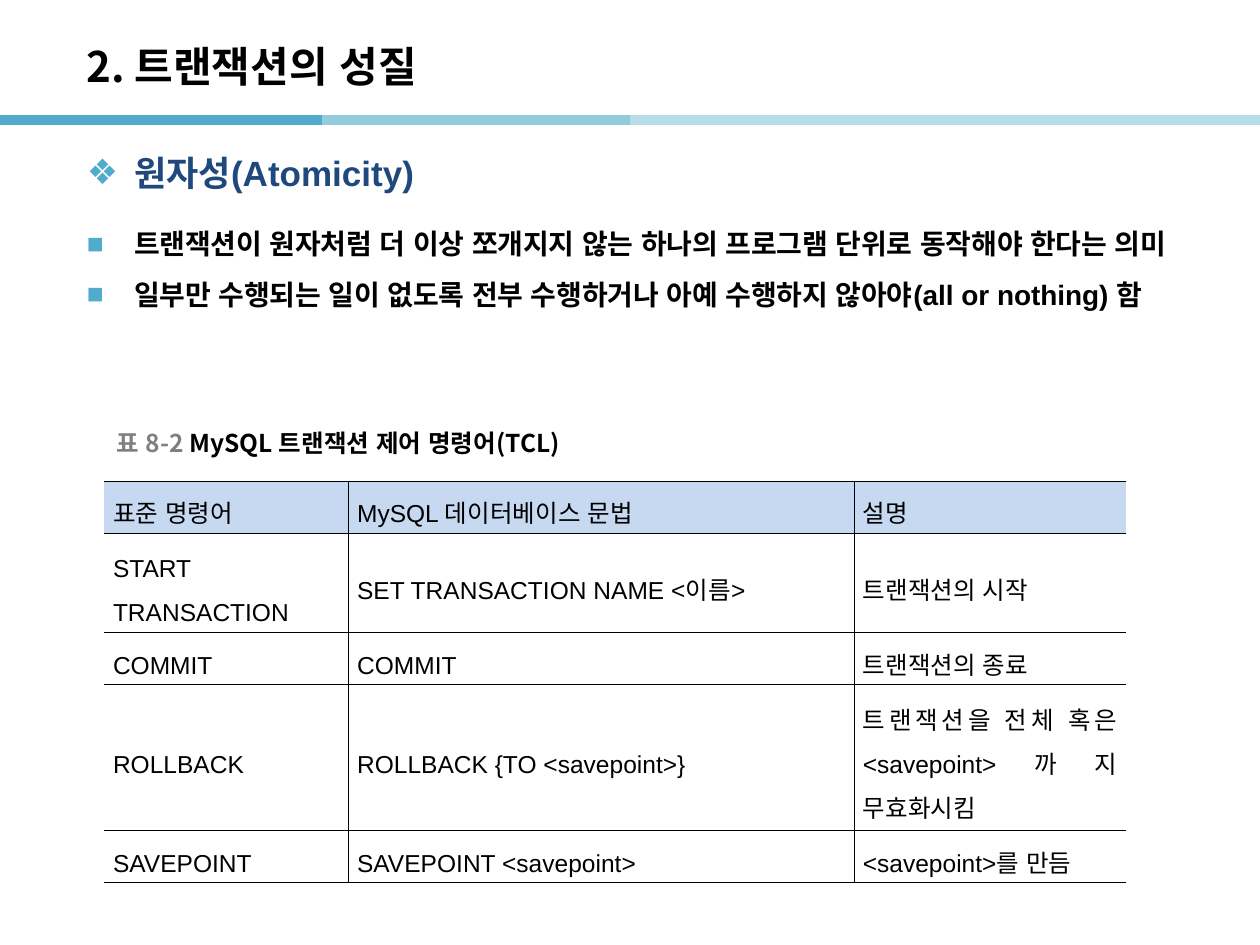
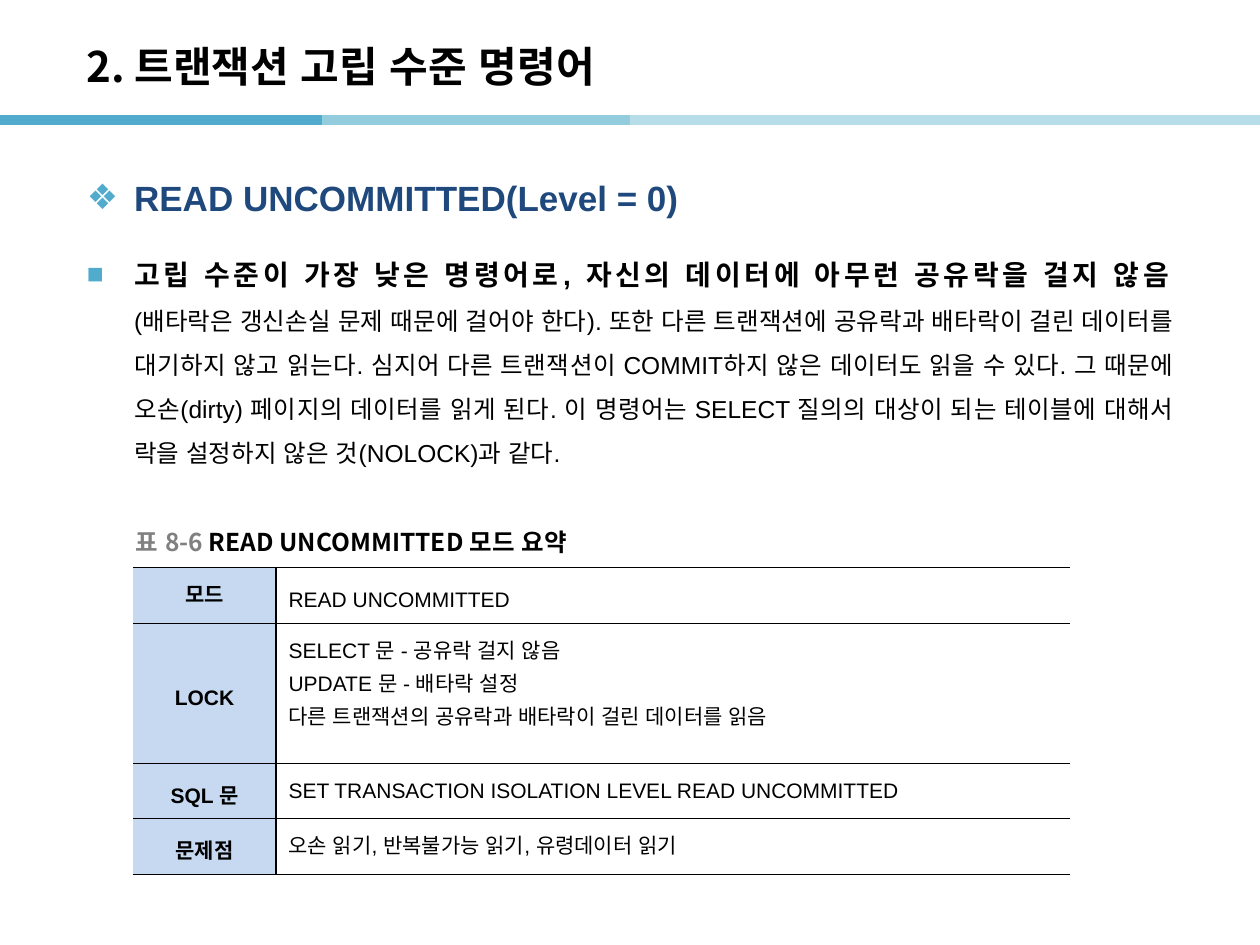
from dataclasses import dataclass

from lxml import etree
from pptx import Presentation
from pptx.dml.color import RGBColor
from pptx.enum.shapes import MSO_CONNECTOR
from pptx.enum.text import MSO_ANCHOR, PP_ALIGN
from pptx.oxml.ns import qn
from pptx.util import Pt

STRAIGHT = MSO_CONNECTOR.STRAIGHT
TOP, MIDDLE = MSO_ANCHOR.TOP, MSO_ANCHOR.MIDDLE
LEFT, CENTER, JUSTIFY = PP_ALIGN.LEFT, PP_ALIGN.CENTER, PP_ALIGN.JUSTIFY


@dataclass(frozen=True)
class Theme:
    """Colours, fonts and type sizes shared by the slides."""
    black: str = "000000"
    gray: str = "808080"
    heading: str = "1F497D"
    accent: str = "50ABCC"
    band_middle: str = "93CDDD"
    band_light: str = "B7DEE8"
    label_fill: str = "C6D9F1"
    white: str = "FFFFFF"
    body_font: str = "Arial"
    title_font: str = "Noto Sans CJK KR"
    title_size: int = 24
    heading_size: int = 20
    bullet_size: int = 16
    text_size: int = 14
    small_size: int = 12


THEME = Theme()
MARGIN = 42.5
INDENT = 27


@dataclass(frozen=True)
class TableStyle:
    """Look of one table: type size, spacing, cell margins and border width."""
    size: int
    line_spacing: float
    margin_x: float
    margin_y: float
    border: float


COMMAND_STYLE = TableStyle(THEME.text_size, 1.6, 5.1, 1.4, 0.28)
MODE_STYLE = TableStyle(THEME.small_size, 1.4, 7.2, 3.6, 1)


def set_font(font, size, color=THEME.black, bold=False, name=THEME.body_font):
    """Set the typefaces, size, weight and colour of a font."""
    font.name = name
    font.size = Pt(size)
    font.bold = bold
    font.color.rgb = RGBColor.from_string(color)
    etree.SubElement(font._rPr, qn("a:ea"), typeface=THEME.body_font)


def add_text_frame(slide, left, top, width, height, anchor=TOP):
    """Add a wrapping text box and return its text frame."""
    frame = slide.shapes.add_textbox(Pt(left), Pt(top), Pt(width), Pt(height)).text_frame
    frame.word_wrap = True
    frame.vertical_anchor = anchor
    return frame


def add_bullet(paragraph, symbol):
    """Give a paragraph a hanging indent and an accent coloured bullet."""
    properties = paragraph._p.get_or_add_pPr()
    properties.set("marL", str(Pt(INDENT)))
    properties.set("indent", str(-Pt(INDENT)))
    color = etree.SubElement(properties, qn("a:buClr"))
    etree.SubElement(color, qn("a:srgbClr"), val=THEME.accent)
    etree.SubElement(properties, qn("a:buFont"), typeface=THEME.body_font)
    etree.SubElement(properties, qn("a:buChar"), char=symbol)


def add_band(slide):
    """Draw the three-tone band below the title."""
    stops = [0, 184.3, 360, 720]
    colors = [THEME.accent, THEME.band_middle, THEME.band_light]
    for start, end, color in zip(stops, stops[1:], colors):
        line = slide.shapes.add_connector(STRAIGHT, Pt(start), Pt(68.5), Pt(end), Pt(68.5))
        line.line.color.rgb = RGBColor.from_string(color)
        line.line.width = Pt(6)
        etree.SubElement(line._element.spPr, qn("a:effectLst"))


def add_title(slide, text):
    """Add the slide title."""
    paragraph = add_text_frame(slide, MARGIN, 16, 595.5, 43, MIDDLE).paragraphs[0]
    paragraph.text = text
    set_font(paragraph.font, THEME.title_size, bold=True, name=THEME.title_font)


def add_heading(slide, text, top, line_spacing):
    """Add the section heading with its diamond bullet."""
    paragraph = add_text_frame(slide, MARGIN, top, 635, 37.5).paragraphs[0]
    paragraph.text = text
    paragraph.alignment = JUSTIFY
    paragraph.line_spacing = line_spacing
    add_bullet(paragraph, "❖")
    set_font(paragraph.font, THEME.heading_size, THEME.heading, True)


def add_bullets(slide, texts, top, width, height, alignment=LEFT):
    """Add square-bulleted bold paragraphs and return them."""
    frame = add_text_frame(slide, MARGIN, top, width, height)
    for index, text in enumerate(texts):
        paragraph = frame.add_paragraph() if index else frame.paragraphs[0]
        paragraph.text = text
        paragraph.alignment = alignment
        paragraph.line_spacing = 1.5
        add_bullet(paragraph, "■")
        set_font(paragraph.font, THEME.bullet_size, bold=True)
    return frame.paragraphs


def add_explanation(paragraph, text):
    """Continue a bullet on a new line in smaller regular type."""
    paragraph.add_line_break()
    run = paragraph.add_run()
    run.text = text
    run.font.size = Pt(THEME.text_size)
    run.font.bold = False


def add_caption(slide, number, text, left, top):
    """Add a table caption with a gray number."""
    paragraph = add_text_frame(slide, left, top, 360, 22.5, MIDDLE).paragraphs[0]
    set_font(paragraph.font, THEME.text_size, bold=True, name=THEME.title_font)
    label = paragraph.add_run()
    label.text = number + " "
    label.font.color.rgb = RGBColor.from_string(THEME.gray)
    paragraph.add_run().text = text


def set_borders(cell, width, visible):
    """Draw the visible sides of a cell and hide the others."""
    properties = cell._tc.get_or_add_tcPr()
    for side in ("lnL", "lnR", "lnT", "lnB"):
        line = etree.SubElement(properties, qn("a:" + side), w=str(Pt(width)))
        if side in visible:
            fill = etree.SubElement(line, qn("a:solidFill"))
            etree.SubElement(fill, qn("a:srgbClr"), val=THEME.black)
        else:
            etree.SubElement(line, qn("a:noFill"))


def fill_cell(cell, text, style, fill, alignment, anchor, bold):
    """Write and format one table cell."""
    cell.text = text
    cell.vertical_anchor = anchor
    cell.margin_left = cell.margin_right = Pt(style.margin_x)
    cell.margin_top = cell.margin_bottom = Pt(style.margin_y)
    cell.fill.solid()
    cell.fill.fore_color.rgb = RGBColor.from_string(fill)
    for paragraph in cell.text_frame.paragraphs:
        paragraph.alignment = alignment
        paragraph.line_spacing = style.line_spacing
        set_font(paragraph.font, style.size, bold=bold)


def add_table(slide, left, top, widths, heights, rows, style, cell_format):
    """Add a table ruled between cells and open at its left and right."""
    shape = slide.shapes.add_table(len(rows), len(widths), Pt(left), Pt(top),
                                   Pt(sum(widths)), Pt(sum(heights)))
    table = shape.table
    table.first_row = table.horz_banding = False
    for column, width in zip(table.columns, widths):
        column.width = Pt(width)
    for row, height in zip(table.rows, heights):
        row.height = Pt(height)
    for row_index, texts in enumerate(rows):
        for column_index, text in enumerate(texts):
            cell = table.cell(row_index, column_index)
            visible = {"lnT", "lnB"}
            if column_index > 0:
                visible.add("lnL")
            if column_index < len(widths) - 1:
                visible.add("lnR")
            set_borders(cell, style.border, visible)
            fill_cell(cell, text, style, *cell_format(row_index, column_index))


def command_format(row, column):
    """Return fill, alignment, anchor and weight in the command table."""
    if row == 0:
        return THEME.label_fill, JUSTIFY, TOP, False
    return THEME.white, JUSTIFY, MIDDLE, False


def mode_format(row, column):
    """Return fill, alignment, anchor and weight in the mode table."""
    if column == 0:
        return THEME.label_fill, CENTER, MIDDLE if row else TOP, True
    return THEME.white, LEFT, TOP if row else MIDDLE, False


def add_base_slide(presentation, title):
    """Add a blank slide with the band and a title."""
    slide = presentation.slides.add_slide(presentation.slide_layouts[6])
    add_band(slide)
    add_title(slide, title)
    return slide


def build_atomicity(presentation):
    """Build the slide on atomicity and the control commands."""
    slide = add_base_slide(presentation, "2. 트랜잭션의 성질")
    add_bullets(slide, [
        "트랜잭션이 원자처럼 더 이상 쪼개지지 않는 하나의 프로그램 단위로 동작해야 한다는 의미",
        "일부만 수행되는 일이 없도록 전부 수행하거나 아예 수행하지 않아야(all or nothing) 함",
    ], 116.5, 677.5, 90)
    add_caption(slide, "표 8-2", "MySQL 트랜잭션 제어 명령어(TCL)", 59.5, 242)
    add_table(slide, 59.5, 275, [139.5, 289, 155.5], [18.7, 34.6, 18.7, 53.3, 21.6], [
        ("표준 명령어", "MySQL 데이터베이스 문법", "설명"),
        ("START\nTRANSACTION", "SET TRANSACTION NAME <이름>", "트랜잭션의 시작"),
        ("COMMIT", "COMMIT", "트랜잭션의 종료"),
        ("ROLLBACK", "ROLLBACK {TO <savepoint>}",
         "트랜잭션을 전체 혹은 <savepoint>까지 무효화시킴"),
        ("SAVEPOINT", "SAVEPOINT <savepoint>", "<savepoint>를 만듬"),
    ], COMMAND_STYLE, command_format)
    add_heading(slide, "원자성(Atomicity)", 83, 1)


def build_read_uncommitted(presentation):
    """Build the slide on the READ UNCOMMITTED level."""
    slide = add_base_slide(presentation, "2. 트랜잭션 고립 수준 명령어")
    bullet = add_bullets(slide, [
        "고립 수준이 가장 낮은 명령어로, 자신의 데이터에 아무런 공유락을 걸지 않음",
    ], 134, 635, 150, JUSTIFY)[0]
    add_explanation(bullet, (
        "(배타락은 갱신손실 문제 때문에 걸어야 한다). 또한 다른 트랜잭션에 공유락과 배타락이 "
        "걸린 데이터를 대기하지 않고 읽는다. 심지어 다른 트랜잭션이 COMMIT하지 않은 데이터도 "
        "읽을 수 있다. 그 때문에 오손(dirty) 페이지의 데이터를 읽게 된다. 이 명령어는 SELECT "
        "질의의 대상이 되는 테이블에 대해서 락을 설정하지 않은 것(NOLOCK)과 같다."))
    add_table(slide, 76.2, 324.3, [81.5, 453.5], [32, 80, 31.5, 32], [
        ("모드", "READ UNCOMMITTED"),
        ("LOCK", "SELECT 문 - 공유락 걸지 않음\nUPDATE 문 - 배타락 설정\n"
                 "다른 트랜잭션의 공유락과 배타락이 걸린 데이터를 읽음"),
        ("SQL 문", "SET TRANSACTION ISOLATION LEVEL READ UNCOMMITTED"),
        ("문제점", "오손 읽기, 반복불가능 읽기, 유령데이터 읽기"),
    ], MODE_STYLE, mode_format)
    add_caption(slide, "표 8-6", "READ UNCOMMITTED 모드 요약", 70.5, 298.3)
    add_heading(slide, "READ UNCOMMITTED(Level = 0)", 85.5, 1.5)


def main():
    """Build and save the presentation."""
    presentation = Presentation()
    presentation.slide_width, presentation.slide_height = Pt(720), Pt(540)
    build_atomicity(presentation)
    build_read_uncommitted(presentation)
    presentation.save("out.pptx")


if __name__ == "__main__":
    main()
